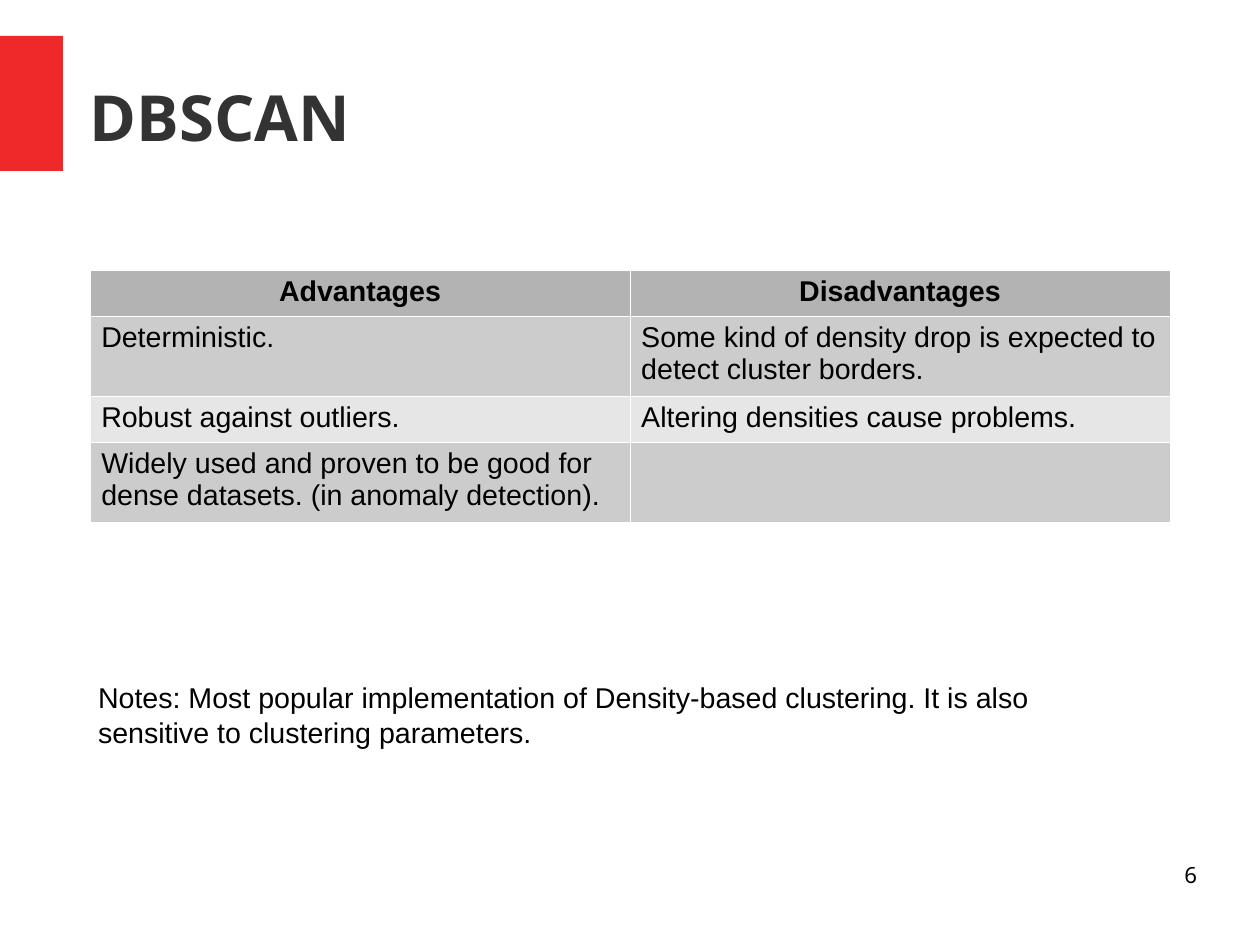
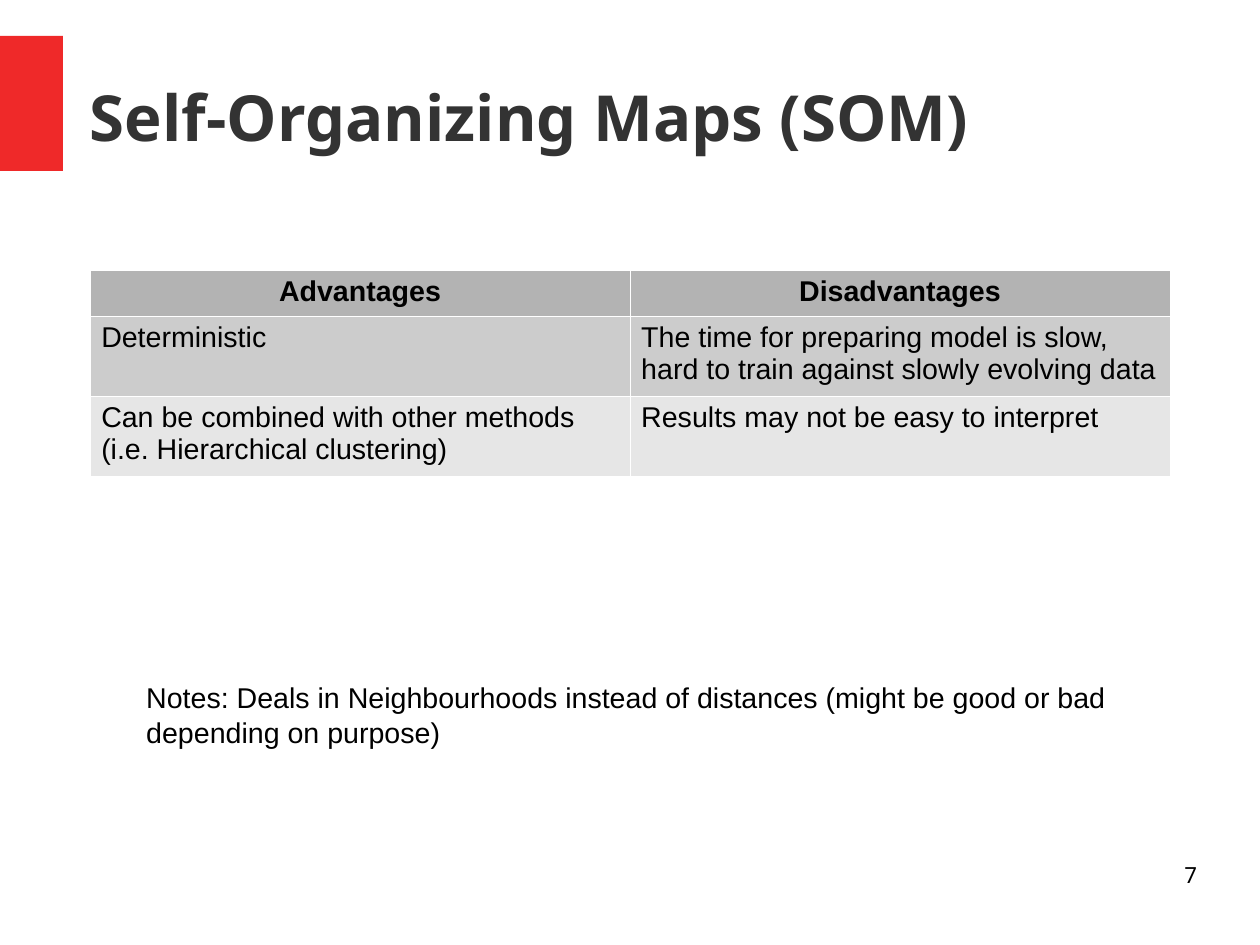
from dataclasses import dataclass

from lxml import etree
from pptx import Presentation
from pptx import util as u
from pptx.dml.color import RGBColor
from pptx.enum import shapes, text
from pptx.oxml.ns import qn

SLIDES = [
    {
        "title": "DBSCAN",
        "rows": [
            ("Deterministic.",
             "Some kind of density drop is expected to detect cluster borders."),
            ("Robust against outliers.", "Altering densities cause problems."),
            ("Widely used and proven to be good for dense datasets. (in anomaly detection).", ""),
        ],
        "row_lines": (2, 1, 2),
        "notes": "Notes: Most popular implementation of Density-based clustering. "
                 "It is also sensitive to clustering parameters.",
        "notes_left": 1.93,
    },
    {
        "title": "Self-Organizing Maps (SOM)",
        "rows": [
            ("Deterministic",
             "The time for preparing model is slow, hard to train against slowly evolving data"),
            ("Can be combined with other methods (i.e. Hierarchical clustering)",
             "Results may not be easy to interpret"),
        ],
        "row_lines": (2, 2),
        "notes": "Notes: Deals in Neighbourhoods instead of distances "
                 "(might be good or bad depending on purpose)",
        "notes_left": 3,
    },
]
HEADER = ("Advantages", "Disadvantages")
FIRST_PAGE = 6


@dataclass(frozen=True)
class Theme:
    accent: str = "EF2929"
    title: str = "333333"
    ink: str = "000000"
    header: str = "B3B3B3"
    bands: tuple = ("CCCCCC", "E6E6E6")
    border: str = "FFFFFF"
    border_pt: float = 0.06
    heading_font: str = "Noto Sans"
    body_font: str = "Arial"
    title_pt: int = 40
    body_pt: int = 18
    page_pt: int = 14


T = Theme()
WIDTH, HEIGHT = 28, 21
LEFT, RIGHT = 2, 26.6
TABLE_TOP, TABLE_WIDTH = 6, 24
ROW_HEIGHT = {1: 1.02, 2: 1.78}
PADDING = (0.25, 0.12)


def box(left, top, width, height):
    return [u.Cm(v) for v in (left, top, width, height)]


def style(p, font, size, color, bold=False, align=text.PP_ALIGN.LEFT):
    p.alignment = align
    p.font.name, p.font.size, p.font.bold = font, u.Pt(size), bold
    p.font.color.rgb = RGBColor.from_string(color)


def fill(target, color):
    target.fill.solid()
    target.fill.fore_color.rgb = RGBColor.from_string(color)


def add_text(s, words, place, padding, anchor, *look, **options):
    tf = s.shapes.add_textbox(*box(*place)).text_frame
    tf.word_wrap, tf.vertical_anchor = True, anchor
    tf.margin_left = tf.margin_right = u.Cm(padding[0])
    tf.margin_top = tf.margin_bottom = u.Cm(padding[1])
    p = tf.paragraphs[0]
    p.text = words
    style(p, *look, **options)


def add_borders(cell):
    tc_pr = cell._tc.get_or_add_tcPr()
    for side in ("lnL", "lnR", "lnT", "lnB"):
        line = etree.SubElement(tc_pr, qn(f"a:{side}"), w=str(u.Pt(T.border_pt)))
        solid = etree.SubElement(line, qn("a:solidFill"))
        etree.SubElement(solid, qn("a:srgbClr"), val=T.border)


def add_comparison(s, rows, row_lines):
    heights = [ROW_HEIGHT[n] for n in (1, *row_lines)]
    table = s.shapes.add_table(len(heights), len(HEADER),
                               *box(LEFT, TABLE_TOP, TABLE_WIDTH, sum(heights))).table
    for column in table.columns:
        column.width = u.Cm(TABLE_WIDTH / len(HEADER))
    for r, (words, height) in enumerate(zip([HEADER, *rows], heights)):
        table.rows[r].height = u.Cm(height)
        is_header = r == 0
        color = T.header if is_header else T.bands[(r - 1) % 2]
        align = text.PP_ALIGN.CENTER if is_header else text.PP_ALIGN.LEFT
        for c, word in enumerate(words):
            cell = table.cell(r, c)
            cell.text = word
            cell.margin_left = cell.margin_right = u.Cm(PADDING[0])
            add_borders(cell)
            fill(cell, color)
            style(cell.text_frame.paragraphs[0], T.body_font, T.body_pt, T.ink,
                  bold=is_header, align=align)


def add_frame(s, title, page):
    band = s.shapes.add_shape(shapes.MSO_SHAPE.RECTANGLE, *box(0, 0.8, 1.4, 3))
    band.shadow.inherit = False
    fill(band, T.accent)
    band.line.fill.background()
    add_text(s, title, (LEFT, 0.83, RIGHT - LEFT, 3.5), (0, 0), text.MSO_ANCHOR.MIDDLE,
             T.heading_font, T.title_pt, T.title, bold=True)
    add_text(s, str(page), (RIGHT - 6.52, 19.13, 6.52, 1.45), (0, 0), text.MSO_ANCHOR.TOP,
             T.heading_font, T.page_pt, T.ink, align=text.PP_ALIGN.RIGHT)


def main():
    prs = Presentation()
    prs.slide_width, prs.slide_height = u.Cm(WIDTH), u.Cm(HEIGHT)
    for page, content in enumerate(SLIDES, FIRST_PAGE):
        s = prs.slides.add_slide(prs.slide_layouts[6])
        add_frame(s, content["title"], page)
        add_comparison(s, content["rows"], content["row_lines"])
        add_text(s, content["notes"], (content["notes_left"], 15, 22.2, 1.68), PADDING,
                 text.MSO_ANCHOR.TOP, T.body_font, T.body_pt, T.ink)
    prs.save("out.pptx")


if __name__ == "__main__":
    main()
